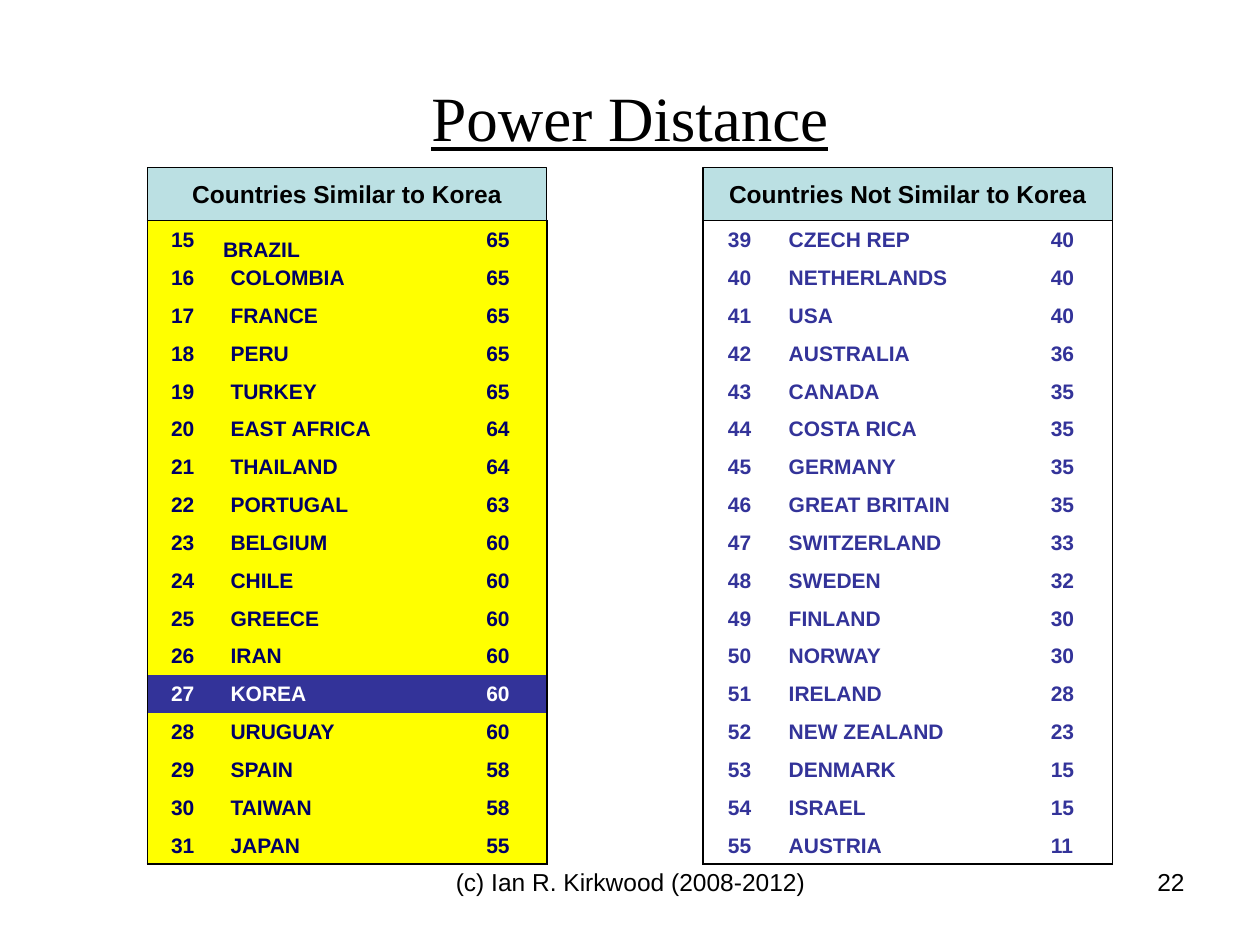
from lxml.etree import SubElement
from pptx import Presentation
from pptx.dml.color import RGBColor
from pptx.enum.shapes import MSO_SHAPE
from pptx.enum.text import MSO_ANCHOR, PP_ALIGN
from pptx.oxml.ns import qn
from pptx.util import Inches, Pt

TITLE = "Power Distance"
FOOTER = "(c) Ian R. Kirkwood (2008-2012)"
PAGE = "22"
SIMILAR = [
    ("", 65), ("COLOMBIA", 65), ("FRANCE", 65), ("PERU", 65), ("TURKEY", 65),
    ("EAST AFRICA", 64), ("THAILAND", 64), ("PORTUGAL", 63), ("BELGIUM", 60),
    ("CHILE", 60), ("GREECE", 60), ("IRAN", 60), ("KOREA", 60),
    ("URUGUAY", 60), ("SPAIN", 58), ("TAIWAN", 58), ("JAPAN", 55),
]
NOT_SIMILAR = [
    ("CZECH REP", 40), ("NETHERLANDS", 40), ("USA", 40), ("AUSTRALIA", 36),
    ("CANADA", 35), ("COSTA RICA", 35), ("GERMANY", 35), ("GREAT BRITAIN", 35),
    ("SWITZERLAND", 33), ("SWEDEN", 32), ("FINLAND", 30), ("NORWAY", 30),
    ("IRELAND", 28), ("NEW ZEALAND", 23), ("DENMARK", 15), ("ISRAEL", 15),
    ("AUSTRIA", 11),
]
PANELS = [
    dict(heading="Countries Similar to Korea", first=15, rows=SIMILAR,
         left=1.17, cols=(0.56, 2.03, 0.58), fill="FFFF00", color="000066"),
    dict(heading="Countries Not Similar to Korea", first=39, rows=NOT_SIMILAR,
         left=5.58, cols=(0.58, 2.08, 0.59), fill=None, color="333399"),
]
HIGHLIGHT = dict(name="KOREA", fill="333399", color="FFFFFF")
HEAD_TOP, HEAD_H, ROW_H = 1.33, 0.42, 0.3
BODY_TOP = HEAD_TOP + HEAD_H
PLAIN_TABLE = "{2D5ABB26-0587-4C30-8999-92F81FD0307C}"


def rgb(value):
    return RGBColor.from_string(value)


def write(tf, text, size, color="000000", font="Arial", align=PP_ALIGN.LEFT,
          bold=False, underline=False):
    p = tf.paragraphs[0]
    p.text = text
    p.alignment = align
    for r in p.runs:
        r.font.name, r.font.size = font, Pt(size)
        r.font.bold, r.font.underline = bold, underline
        r.font.color.rgb = rgb(color)
    if not text:
        p._p.get_or_add_endParaRPr().set("sz", str(size * 100))


def add_text(s, box, text, size, **style):
    tf = s.shapes.add_textbox(*map(Inches, box)).text_frame
    tf.word_wrap = True
    write(tf, text, size, **style)
    return tf


def add_grid(s, left, top, cols, row_count):
    frame = s.shapes.add_table(row_count, len(cols), Inches(left), Inches(top),
                               Inches(sum(cols)), Inches(ROW_H * row_count))
    table = frame.table
    table.first_row = table.horz_banding = False
    table._tbl.tblPr.find(qn("a:tableStyleId")).text = PLAIN_TABLE
    for col, width in zip(table.columns, cols):
        col.width = Inches(width)
    return table


def set_cell(cell, text, fill, color, align=PP_ALIGN.LEFT, edges=()):
    write(cell.text_frame, text, 12, color, align=align, bold=True)
    cell.vertical_anchor = MSO_ANCHOR.BOTTOM
    tcPr = cell._tc.get_or_add_tcPr()
    for side in "LRTB":
        if side in edges:
            ln = SubElement(tcPr, qn(f"a:ln{side}"), w=str(Pt(1)))
            SubElement(SubElement(ln, qn("a:solidFill")), qn("a:srgbClr"), val="000000")
    if fill:
        cell.fill.solid()
        cell.fill.fore_color.rgb = rgb(fill)
    else:
        cell.fill.background()


def add_country_table(s, panel):
    rows, cols = panel["rows"], panel["cols"]
    table = add_grid(s, panel["left"], BODY_TOP, cols, len(rows))
    for i, (name, score) in enumerate(rows):
        look = HIGHLIGHT if name == HIGHLIGHT["name"] else panel
        for j, text in enumerate((str(panel["first"] + i), name, str(score))):
            outer = dict(L=j == 0, R=j == len(cols) - 1, T=i == 0, B=i == len(rows) - 1)
            set_cell(table.cell(i, j), text, look["fill"], look["color"],
                     PP_ALIGN.LEFT if j else PP_ALIGN.CENTER,
                     [side for side, on in outer.items() if on])


def add_heading(s, panel):
    box = (panel["left"], HEAD_TOP, sum(panel["cols"]), HEAD_H)
    sp = s.shapes.add_shape(MSO_SHAPE.RECTANGLE, *map(Inches, box))
    sp.shadow.inherit = False
    sp.fill.solid()
    sp.fill.fore_color.rgb = rgb("BBE0E3")
    sp.line.color.rgb = rgb("000000")
    sp.line.width = Pt(0.75)
    tf = sp.text_frame
    tf.word_wrap = False
    tf.vertical_anchor = MSO_ANCHOR.MIDDLE
    write(tf, panel["heading"], 14, align=PP_ALIGN.CENTER, bold=True)


def main():
    prs = Presentation()
    prs.slide_width, prs.slide_height = Inches(10), Inches(7.5)
    s = prs.slides.add_slide(prs.slide_layouts[6])
    add_text(s, (3.42, 6.83, 3.17, 0.52), FOOTER, 14, align=PP_ALIGN.CENTER)
    add_text(s, (7.17, 6.83, 2.33, 0.52), PAGE, 14, align=PP_ALIGN.RIGHT)
    tf = add_text(s, (0.5, 0.3, 9, 1.25), TITLE, 36, font="Times New Roman",
                  align=PP_ALIGN.CENTER, underline=True)
    tf.vertical_anchor = MSO_ANCHOR.MIDDLE

    similar = PANELS[0]
    for panel in PANELS:
        add_country_table(s, panel)
    brazil = add_grid(s, 1.67, 1.83, [1.14], 1)
    set_cell(brazil.cell(0, 0), "BRAZIL", similar["fill"], similar["color"])
    for panel in PANELS:
        add_heading(s, panel)
    prs.save("out.pptx")


if __name__ == "__main__":
    main()
